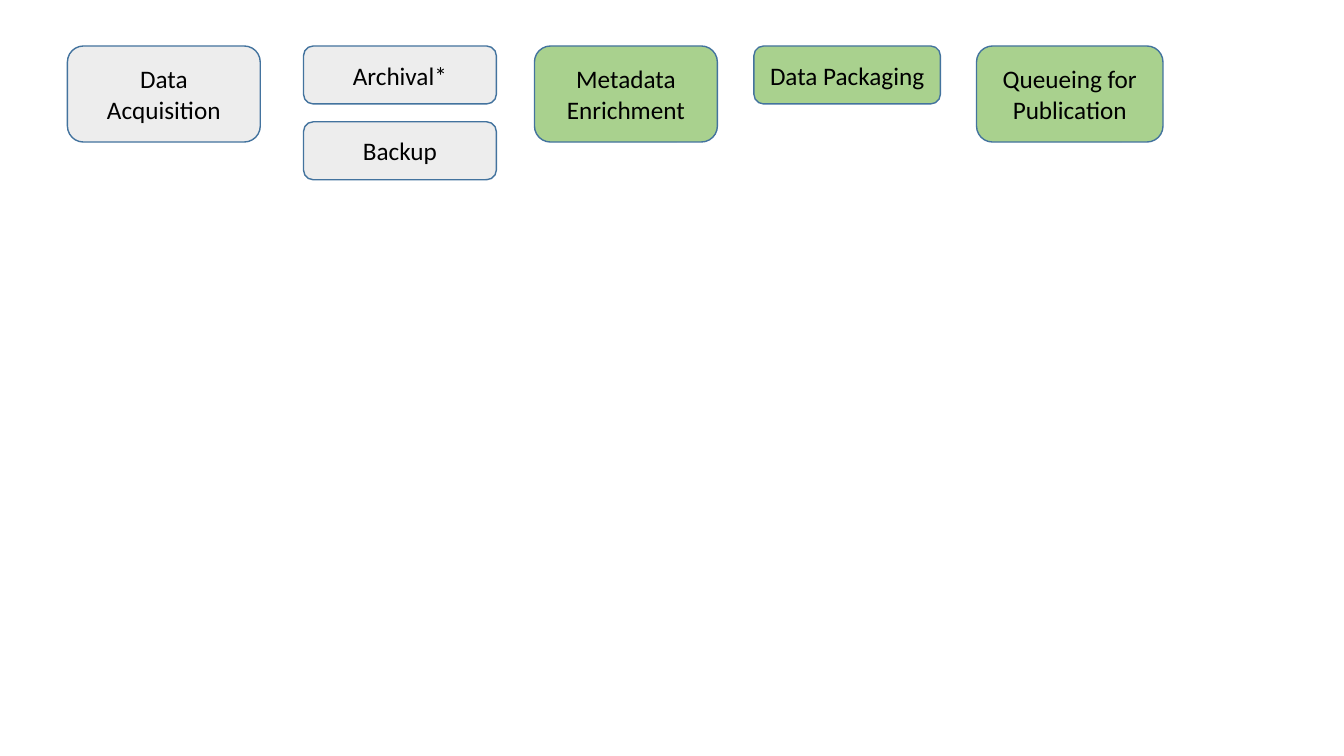
"""Build a slide showing the stages of a data publication workflow."""
from pptx import Presentation
from pptx import util as u
from pptx.dml.color import RGBColor
from pptx.enum import shapes, text

COLORS = {"grey": "EDEDED", "green": "A9D18E", "outline": "43739E", "text": "000000"}
TOP = 1.16
SECOND_ROW = 3.07
TALL = 2.42
SHORT = 1.46

STAGES = [
    ("Data Acquisition", 1.7, TOP, 4.86, TALL, "grey"),
    ("Archival*", 7.65, TOP, 4.86, SHORT, "grey"),
    ("Backup", 7.65, SECOND_ROW, 4.86, SHORT, "grey"),
    ("Metadata Enrichment", 13.47, TOP, 4.61, TALL, "green"),
    ("Data Packaging", 19, TOP, 4.7, SHORT, "green"),
    ("Queueing for Publication", 24.61, TOP, 4.7, TALL, "green"),
]


def color(name):
    return RGBColor.from_string(COLORS[name])


def add_label(shape, label):
    frame = shape.text_frame
    frame.word_wrap = True
    frame.vertical_anchor = text.MSO_ANCHOR.MIDDLE
    paragraph = frame.paragraphs[0]
    paragraph.alignment = text.PP_ALIGN.CENTER
    run = paragraph.add_run()
    run.text = label
    run.font.name = "Calibri"
    run.font.size = u.Pt(18)
    run.font.color.rgb = color("text")


def add_stage(slide, label, left, top, width, height, fill):
    shape = slide.shapes.add_shape(
        shapes.MSO_SHAPE.ROUNDED_RECTANGLE,
        u.Cm(left), u.Cm(top), u.Cm(width), u.Cm(height),
    )
    shape.shadow.inherit = False
    shape.fill.solid()
    shape.fill.fore_color.rgb = color(fill)
    shape.line.color.rgb = color("outline")
    shape.line.width = u.Pt(1)
    add_label(shape, label)


def main():
    presentation = Presentation()
    presentation.slide_width = u.Cm(33.87)
    presentation.slide_height = u.Cm(19.05)
    slide = presentation.slides.add_slide(presentation.slide_layouts[6])
    for stage in STAGES:
        add_stage(slide, *stage)
    presentation.save("out.pptx")


if __name__ == "__main__":
    main()
